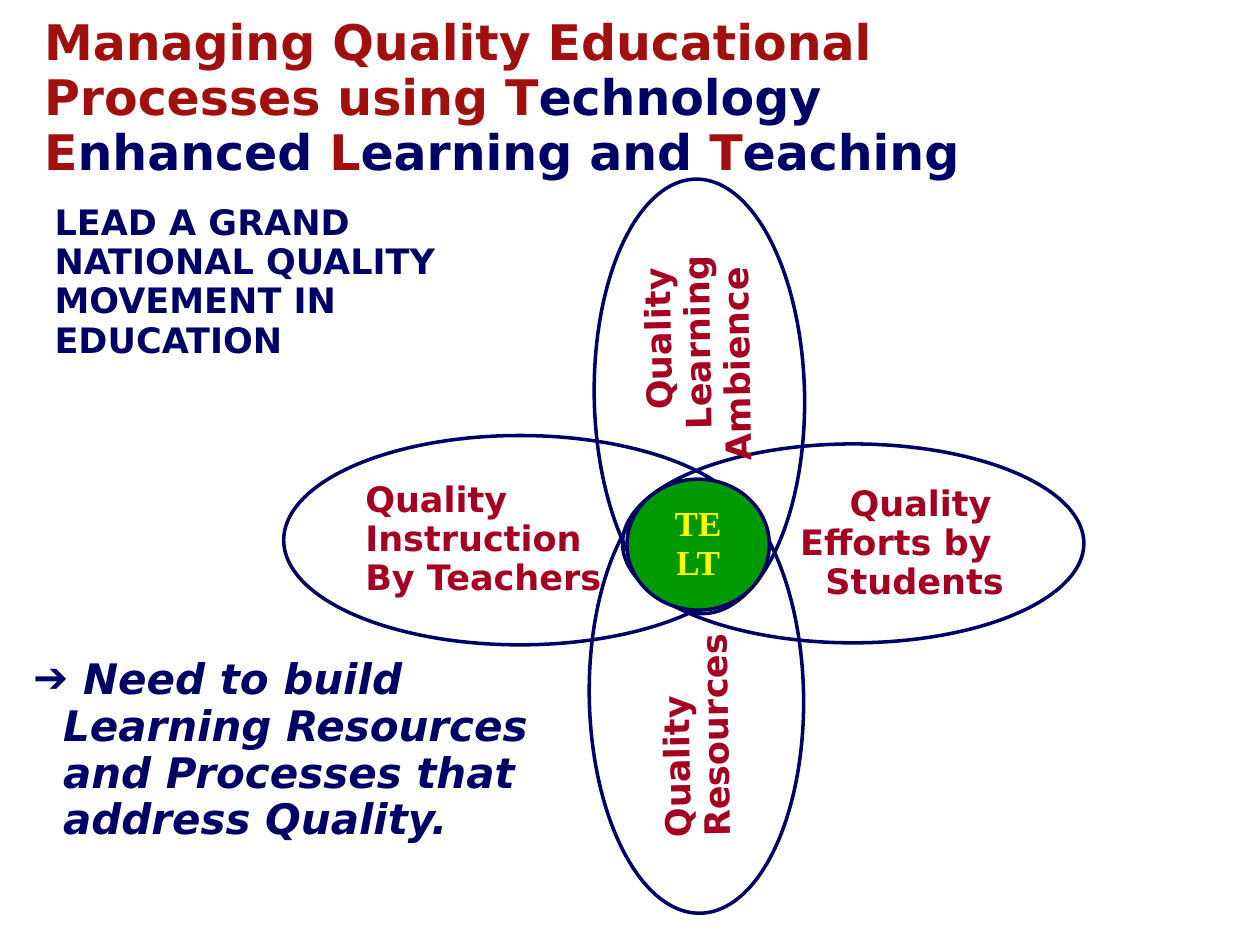
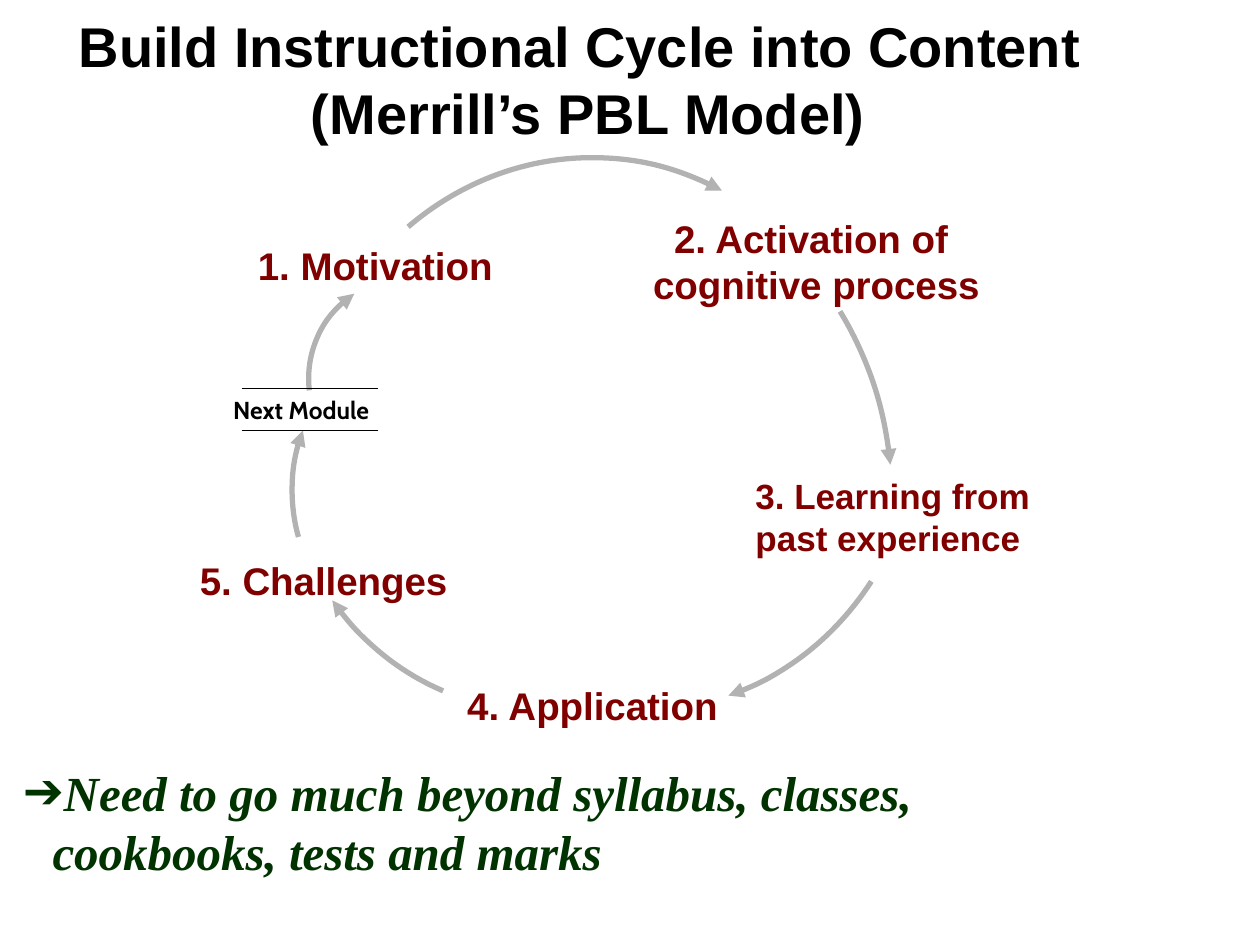
from lxml import etree
from pptx import Presentation
from pptx.dml.color import RGBColor
from pptx.enum.shapes import MSO_CONNECTOR as Connector, MSO_SHAPE as Shape
from pptx.enum.text import MSO_ANCHOR as Anchor, MSO_AUTO_SIZE as AutoSize, PP_ALIGN as Align
from pptx.oxml.ns import qn
from pptx.util import Cm, Pt

NAVY = RGBColor(0x00, 0x00, 0x66)
BRICK = RGBColor(0xA1, 0x0F, 0x0F)
CRIMSON = RGBColor(0xA5, 0x00, 0x21)
MAROON = RGBColor(0x80, 0x00, 0x00)
FOREST = RGBColor(0x00, 0x33, 0x00)
GREEN = RGBColor(0x00, 0x99, 0x00)
YELLOW = RGBColor(0xFF, 0xFF, 0x00)
GREY = RGBColor(0xB2, 0xB2, 0xB2)
BLACK = RGBColor(0x00, 0x00, 0x00)
WHITE = RGBColor(0xFF, 0xFF, 0xFF)

SANS, ARIAL, SERIF, CABIN = "DejaVu Sans", "Arial", "Times New Roman", "Cabin"
INSETS = (0.25, 0.13)
TIGHT = 0.93
ADJUSTMENT_PER_DEGREE = 0.6

PETALS = [
    ((0.02, 5.18, 9.52, 4.22), 0, Align.LEFT, ["Quality", "Instruction", "By Teachers"]),
    ((6.85, 5.35, 9.3, 4.01), 0, Align.RIGHT, ["Quality ", "Efforts by ", "Students"]),
    ((4.02, 2.27, 8.76, 4.24), 269, Align.RIGHT, ["Quality ", "Learning", "Ambience "]),
    ((3.97, 8.28, 8.74, 4.32), 269, Align.LEFT, ["Quality", "Resources"]),
]
STEPS = [
    ((1.2, 2.37, 4.72, 0.94), 22, Align.LEFT, ["1. Motivation"]),
    ((9.17, 1.83, 6.58, 1.85), 22, Align.CENTER, ["2. Activation of ", "cognitive process"]),
    ((11.23, 7.06, 5.74, 1.7), 20, Align.LEFT, ["3. Learning from", "past experience"]),
    ((5.42, 11.24, 5.08, 0.94), 22, Align.LEFT, ["4. Application"]),
    ((0.03, 8.73, 5, 0.94), 22, Align.LEFT, ["5. Challenges"]),
]
ARCS = [
    ((1.89, 5.2, 2.62, 4.37), 0, 141.5, 227.8),
    ((1.89, 0.68, 12.07, 13.31), 0, 234.9, 293.7),
    ((3.7, 1.26, 10.29, 12.8), 0, 316.5, 351.2),
    ((3.47, -0.49, 11.13, 12.29), 0, 38.2, 74.3),
    ((1.64, 0.04, 10.74, 11.79), 9.6, 101.1, 130),
    ((2.2, 3.06, 4.72, 4.37), 20.9, 156, 211.2),
]


def within(origin, box):
    """Return the box in lengths, moved by the origin of its region."""
    left, top, width, height = box
    return Cm(origin[0] + left), Cm(origin[1] + top), Cm(width), Cm(height)


def move(part, box):
    """Place a placeholder on the slide."""
    names = ("left", "top", "width", "height")
    for name, length in zip(names, within((0, 0), box)):
        setattr(part, name, length)


def write(part, lines, font, size, color, align=Align.LEFT, spacing=1.0,
          anchor=Anchor.MIDDLE, insets=INSETS, wrap=True, italic=False):
    """Fill a part with lines, each a string or a list of (text, colour) runs."""
    frame = part.text_frame
    frame_format = {
        "auto_size": AutoSize.NONE, "word_wrap": wrap, "vertical_anchor": anchor,
        "margin_left": Cm(insets[0]), "margin_right": Cm(insets[0]),
        "margin_top": Cm(insets[1]), "margin_bottom": Cm(insets[1]),
    }
    for name, value in frame_format.items():
        setattr(frame, name, value)
    for index, line in enumerate(lines):
        paragraph = frame.add_paragraph() if index else frame.paragraphs[0]
        paragraph.alignment = align
        paragraph.line_spacing = spacing
        paragraph.space_before = Pt(0)
        for words, tint in [(line, color)] if isinstance(line, str) else line:
            run = paragraph.add_run()
            run.text = words
            font_format = {"name": font, "size": Pt(size), "bold": True, "italic": italic}
            for name, value in font_format.items():
                setattr(run.font, name, value)
            run.font.color.rgb = tint


def add_title(slide, box, lines, font, size, color, **layout):
    """Put the heading in the title placeholder."""
    move(slide.shapes.title, box)
    write(slide.shapes.title, lines, font, size, color, **layout)


def add_takeaway(slide, box, message, font, size, color, spacing):
    """Put the arrow-bulleted conclusion in the body placeholder and return it."""
    takeaway = slide.placeholders[1]
    move(takeaway, box)
    write(takeaway, [message], font, size, color, spacing=spacing,
          anchor=Anchor.TOP, italic=True)
    properties = takeaway.text_frame.paragraphs[0]._p.get_or_add_pPr()
    properties.set("marL", str(Cm(0.6)))
    properties.set("indent", str(-Cm(0.6)))
    etree.SubElement(properties, qn("a:buChar")).set("char", "➔")
    return takeaway


def add_label(slide, origin, box, lines, font, size, color, **layout):
    """Add a text box inside a region."""
    label = slide.shapes.add_textbox(*within(origin, box))
    write(label, lines, font, size, color, **layout)


def add_ellipse(slide, origin, box, rotation=0, fill=None):
    """Add a navy-outlined ellipse, hollow unless a fill is given."""
    ellipse = slide.shapes.add_shape(Shape.OVAL, *within(origin, box))
    ellipse.shadow.inherit = False
    ellipse.rotation = rotation
    ellipse.line.color.rgb = NAVY
    ellipse.line.width = Pt(2)
    if fill is None:
        ellipse.fill.background()
    else:
        ellipse.fill.solid()
        ellipse.fill.fore_color.rgb = fill
    return ellipse


def add_flower(slide, origin):
    """Draw the four quality petals around the green core."""
    for box, rotation, align, lines in PETALS:
        petal = add_ellipse(slide, origin, box, rotation)
        write(petal, lines, SANS, 20, CRIMSON, align, TIGHT)
    core = add_ellipse(slide, origin, (6.94, 6.06, 2.87, 2.64), fill=GREEN)
    write(core, ["TE", "LT"], SERIF, 20, YELLOW, Align.CENTER, TIGHT)


def add_arc(slide, origin, box, rotation, start, end):
    """Draw a grey arc with an arrowhead, between two angles of its ellipse."""
    arc = slide.shapes.add_shape(Shape.ARC, *within(origin, box))
    arc.shadow.inherit = False
    arc.rotation = rotation
    for index, angle in enumerate((start, end)):
        arc.adjustments[index] = angle * ADJUSTMENT_PER_DEGREE
    arc.fill.background()
    arc.line.color.rgb = GREY
    arc.line.width = Pt(3)
    etree.SubElement(arc.line._get_or_add_ln(), qn("a:tailEnd")).set("type", "triangle")


def add_next_module(slide, origin):
    """Add the module caption between its two rules."""
    for level in (5.33, 6.18):
        y = Cm(origin[1] + level)
        rule = slide.shapes.add_connector(
            Connector.STRAIGHT, Cm(origin[0] + 0.88), y, Cm(origin[0] + 3.62), y)
        rule.line.color.rgb = BLACK
        rule.line.width = Pt(0.75)
        etree.SubElement(rule._element.spPr, qn("a:effectLst"))
    add_label(slide, origin, (0.45, 5.33, 4.01, 0.87), ["Next Module"], CABIN, 14, BLACK,
              anchor=Anchor.TOP)


def add_cycle(slide, origin):
    """Draw the five steps, the arrows between them and the module caption."""
    for box, size, align, lines in STEPS:
        add_label(slide, origin, box, lines, ARIAL, size, MAROON, align=align,
                  anchor=Anchor.TOP, insets=(0, 0), wrap=False)
    for arc in ARCS:
        add_arc(slide, origin, *arc)
    add_next_module(slide, origin)


def build_quality_slide(slide):
    """Build the slide on quality processes."""
    heading = [
        ("Managing Quality Educational Processes using T", BRICK), ("echnology ", NAVY),
        ("E", BRICK), ("nhanced ", NAVY), ("L", BRICK), ("earning and ", NAVY),
        ("T", BRICK), ("eaching", NAVY),
    ]
    add_title(slide, (0.64, 0.22, 21.16, 3.56), [heading], SANS, 28, NAVY, spacing=TIGHT)
    add_takeaway(slide, (0.42, 13.11, 10.59, 4.04),
                 " Need to build Learning Resources and Processes that address Quality.",
                 SANS, 24, NAVY, TIGHT)
    add_label(slide, (0, 0), (0.85, 4, 9.52, 3.4),
              ["LEAD A GRAND NATIONAL QUALITY MOVEMENT IN EDUCATION"],
              SANS, 20, NAVY, spacing=TIGHT)
    add_flower(slide, (5.7, 3.6))


def build_cycle_slide(slide):
    """Build the slide on the instructional cycle."""
    add_title(slide, (1.06, 0.41, 21.59, 2.34),
              ["Build Instructional Cycle into Content ", "(Merrill’s PBL Model)"],
              ARIAL, 32, BLACK, align=Align.CENTER)
    takeaway = add_takeaway(
        slide, (0.21, 15.24, 22.02, 2.64),
        "Need to go much beyond syllabus, classes, cookbooks, tests and marks",
        SERIF, 28, FOREST, 1.0)
    takeaway.fill.solid()
    takeaway.fill.fore_color.rgb = WHITE
    add_cycle(slide, (4, 2.5))


def main():
    """Build both slides and save the presentation."""
    deck = Presentation()
    deck.slide_width, deck.slide_height = Cm(25.4), Cm(19.05)
    for build in (build_quality_slide, build_cycle_slide):
        build(deck.slides.add_slide(deck.slide_layouts[1]))
    deck.save("out.pptx")


if __name__ == "__main__":
    main()
